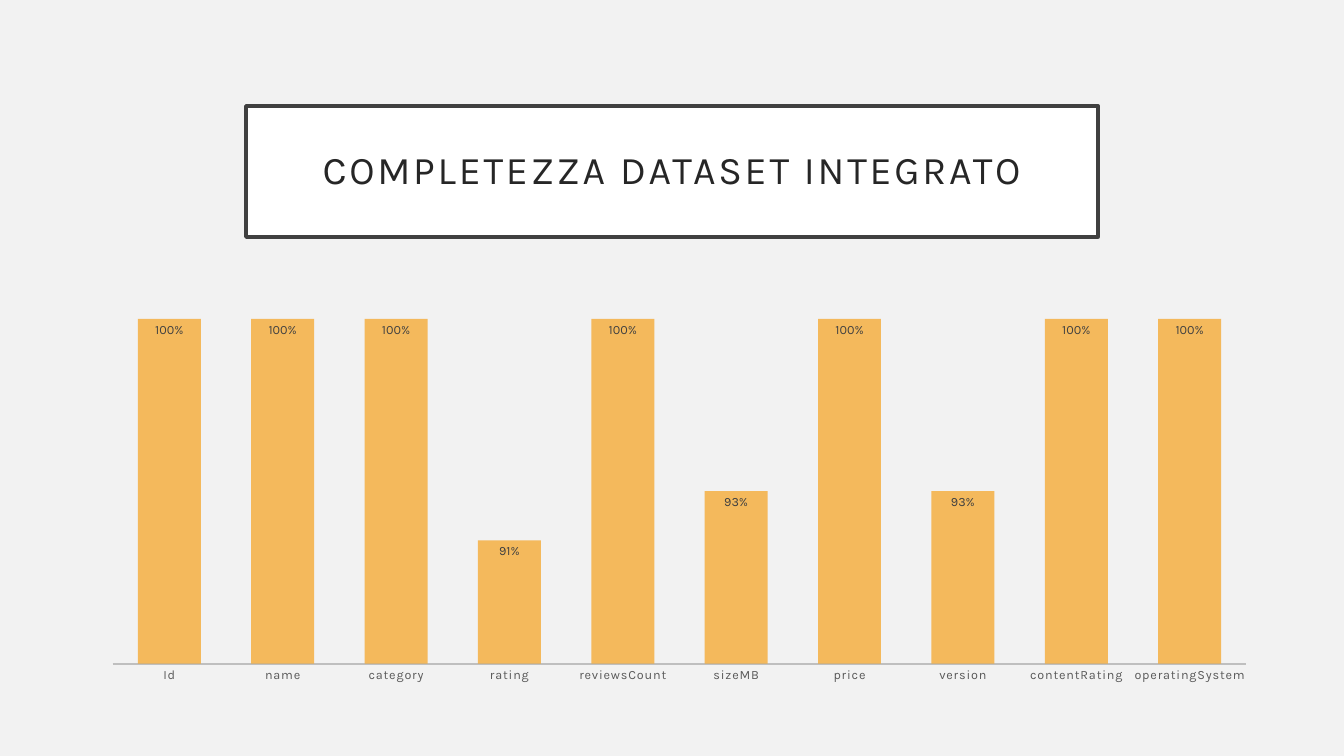
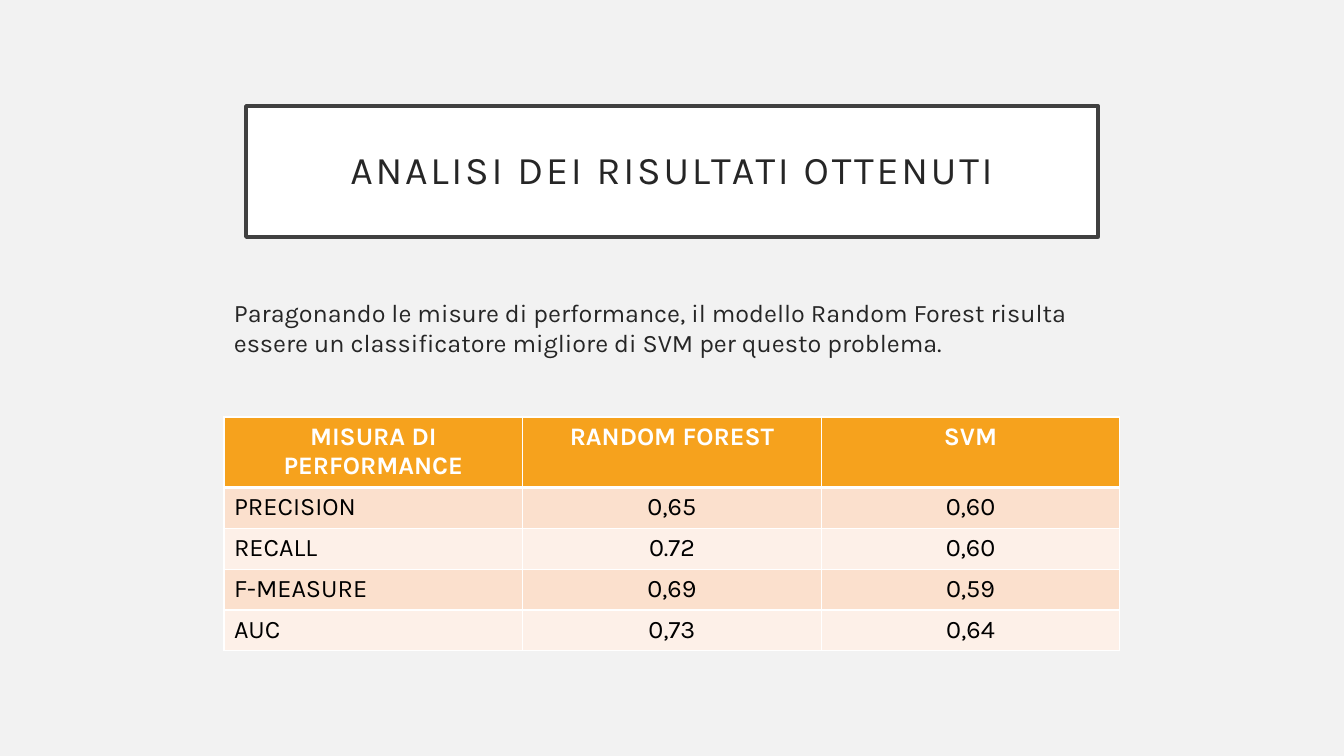
from lxml.etree import SubElement
from pptx import Presentation
from pptx.chart.data import CategoryChartData
from pptx.dml.color import RGBColor
from pptx.enum.chart import XL_CHART_TYPE, XL_LABEL_POSITION, XL_TICK_MARK
from pptx.enum.text import MSO_ANCHOR, MSO_AUTO_SIZE, PP_ALIGN
from pptx.oxml.ns import qn
from pptx.util import Pt

FONT = "Karla"
BACKGROUND = RGBColor(0xF2, 0xF2, 0xF2)
WHITE = RGBColor(0xFF, 0xFF, 0xFF)
BLACK = RGBColor(0x00, 0x00, 0x00)
INK = RGBColor(0x26, 0x26, 0x26)
FRAME = RGBColor(0x40, 0x40, 0x40)
AXIS_TEXT = RGBColor(0x59, 0x59, 0x59)
AXIS_LINE = RGBColor(0xBF, 0xBF, 0xBF)
ORANGE = RGBColor(0xF6, 0xA2, 0x1D)
PEACH = RGBColor(0xFB, 0xE0, 0xCD)
PALE_PEACH = RGBColor(0xFD, 0xF0, 0xE8)


def px(length):
    return round(length * 914400 / 100.8)


def write(frame, text, size=18, color=INK, bold=False, align=PP_ALIGN.LEFT, leading=1.0, tracking=0):
    frame.word_wrap = True
    para = frame.paragraphs[0]
    para.alignment = align
    para.line_spacing = leading
    span = para.add_run()
    span.text = text
    span.font.name = FONT
    span.font.size = Pt(size)
    span.font.bold = bold
    span.font.color.rgb = color
    span.font._element.set("spc", str(tracking))


deck = Presentation()
deck.slide_width, deck.slide_height = px(1344), px(756)
deck.slide_master.background.fill.solid()
deck.slide_master.background.fill.fore_color.rgb = BACKGROUND

pages = []
for heading in ("COMPLETEZZA DATASET INTEGRATO", "ANALISI DEI RISULTATI OTTENUTI"):
    page = deck.slides.add_slide(deck.slide_layouts[5])
    title = page.shapes.title
    title.left, title.top, title.width, title.height = px(246), px(106), px(852), px(131)
    title.fill.solid()
    title.fill.fore_color.rgb = WHITE
    title.line.color.rgb = FRAME
    title.line.width = Pt(2.5)
    frame = title.text_frame
    frame.auto_size = MSO_AUTO_SIZE.NONE
    frame.vertical_anchor = MSO_ANCHOR.MIDDLE
    frame.margin_left = frame.margin_right = frame.margin_top = frame.margin_bottom = px(20)
    write(frame, heading, size=28, align=PP_ALIGN.CENTER, leading=0.9, tracking=200)
    pages.append(page)
chart_page, table_page = pages

completeness = {
    "Id": 1, "name": 1, "category": 1, "rating": 0.91, "reviewsCount": 1,
    "sizeMB": 0.93, "price": 1, "version": 0.93, "contentRating": 1, "operatingSystem": 1,
}
data = CategoryChartData(number_format="0%")
data.categories = list(completeness)
data.add_series("Series 1", list(completeness.values()))
chart = chart_page.shapes.add_chart(
    XL_CHART_TYPE.COLUMN_CLUSTERED, px(89), px(261), px(1181), px(430), data
).chart
chart.has_legend = False
chart.has_title = False
chart.font.name = FONT
chart.font.size = Pt(10)
chart.font.color.rgb = BLACK

value_axis = chart.value_axis
value_axis.minimum_scale, value_axis.maximum_scale, value_axis.major_unit = 0.86, 1.02, 0.02
value_axis.has_major_gridlines = False
value_axis.visible = False

category_axis = chart.category_axis
category_axis.major_tick_mark = XL_TICK_MARK.NONE
category_axis.format.line.color.rgb = AXIS_LINE
category_axis.format.line.width = Pt(1.25)

plot = chart.plots[0]
plot.gap_width = 80
plot.overlap = 25
plot.vary_by_categories = False
plot.has_data_labels = True
labels = plot.data_labels
labels.show_value = True
labels.position = XL_LABEL_POSITION.INSIDE_END
labels.number_format = "0%"
labels.number_format_is_linked = False
for font, color in ((category_axis.tick_labels.font, AXIS_TEXT), (labels.font, FRAME)):
    font.name = FONT
    font.size = Pt(9)
    font.color.rgb = color
category_axis.tick_labels.font._element.set("spc", "60")

bars = plot.series[0]
bars.format.fill.solid()
bars.format.fill.fore_color.rgb = ORANGE
bar_color = bars._element.find(qn("c:spPr")).find(qn("a:solidFill")).find(qn("a:srgbClr"))
SubElement(bar_color, qn("a:alpha"), val="70000")

box = table_page.shapes.add_textbox(px(224), px(292), px(896), px(70))
write(
    box.text_frame,
    "Paragonando le misure di performance, il modello Random Forest risulta "
    "essere un classificatore migliore di SVM per questo problema.",
)

records = [
    ("MISURA DI PERFORMANCE", "RANDOM FOREST", "SVM"),
    ("PRECISION", "0,65", "0,60"),
    ("RECALL", "0.72", "0,60"),
    ("F-MEASURE", "0,69", "0,59"),
    ("AUC", "0,73", "0,64"),
]
heights = (68, 41, 41, 40, 40)
table = table_page.shapes.add_table(
    len(records), 3, px(224), px(417), px(896), px(sum(heights))
).table
for column in table.columns:
    column.width = round(px(896) / 3)
for row, (record, height) in enumerate(zip(records, heights)):
    table.rows[row].height = px(height)
    header = row == 0
    for column, text in enumerate(record):
        cell = table.cell(row, column)
        properties = cell._tc.get_or_add_tcPr()
        for side in "LRTB":
            thick = (header and side == "B") or (row == 1 and side == "T")
            border = SubElement(properties, qn(f"a:ln{side}"), w=str(Pt(3 if thick else 1)))
            SubElement(SubElement(border, qn("a:solidFill")), qn("a:srgbClr"), val=str(WHITE))
        cell.fill.solid()
        cell.fill.fore_color.rgb = ORANGE if header else (PALE_PEACH, PEACH)[row % 2]
        write(
            cell.text_frame,
            text,
            color=WHITE if header else BLACK,
            bold=header,
            align=PP_ALIGN.CENTER if header or column else PP_ALIGN.LEFT,
        )

deck.save("out.pptx")
